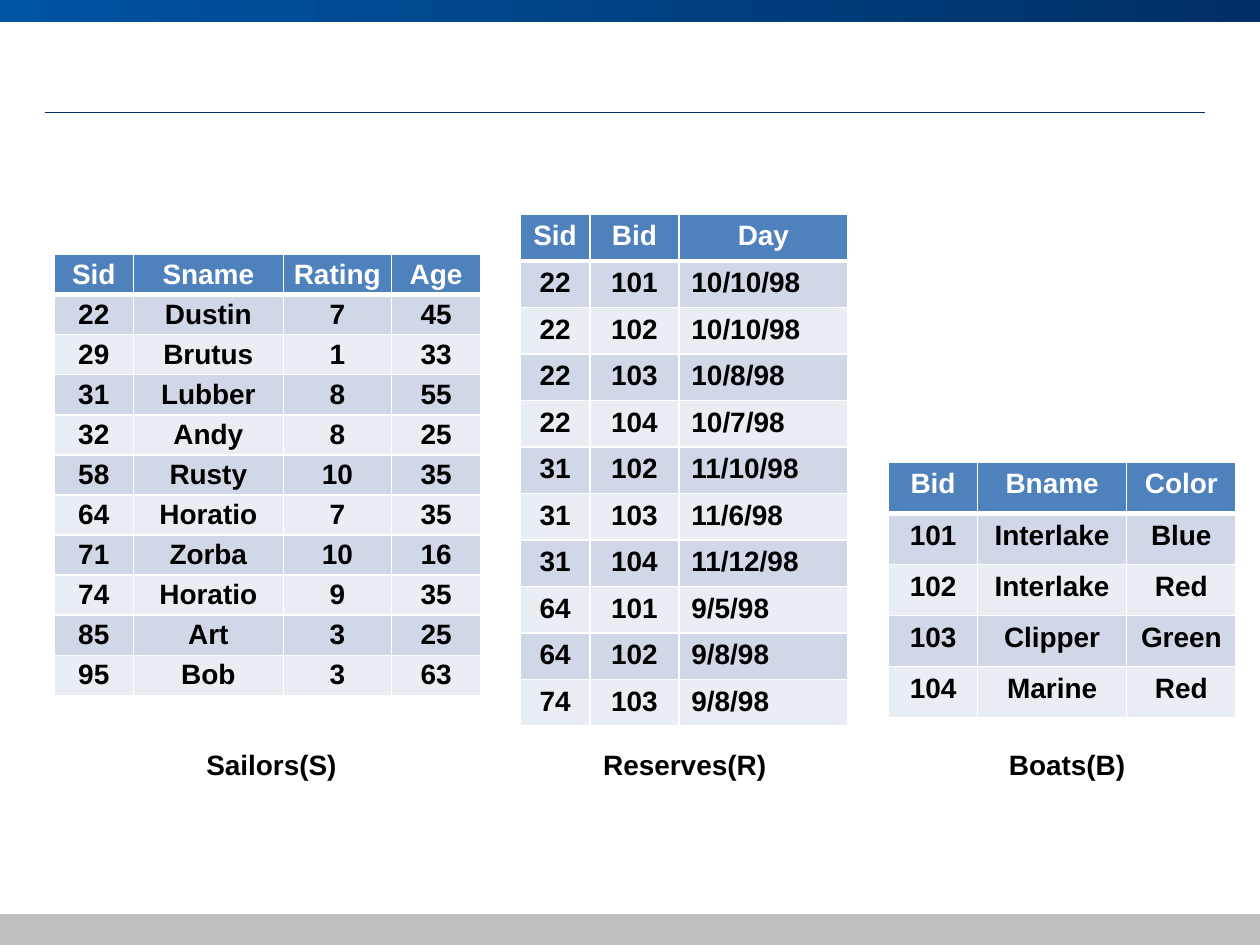
import pptx
import pptx.util
import pptx.oxml
import pptx.dml.color
import pptx.enum.shapes
import pptx.enum.text
from pptx.util import Cm, Pt

# Content
COLORS = {
    "header": "4F81BD", "odd": "D0D8E8", "even": "E9EDF4",
    "white": "FFFFFF", "black": "000000",
    "blue": "0054A4", "navy": "002F65", "gray": "BFBFBF",
}
FONT, SIZE = "Arial", 16

SAILORS = [
    ("Sid", "Sname", "Rating", "Age"),
    ("22", "Dustin", "7", "45"),
    ("29", "Brutus", "1", "33"),
    ("31", "Lubber", "8", "55"),
    ("32", "Andy", "8", "25"),
    ("58", "Rusty", "10", "35"),
    ("64", "Horatio", "7", "35"),
    ("71", "Zorba", "10", "16"),
    ("74", "Horatio", "9", "35"),
    ("85", "Art", "3", "25"),
    ("95", "Bob", "3", "63"),
]
RESERVES = [
    ("Sid", "Bid", "Day"),
    ("22", "101", "10/10/98"),
    ("22", "102", "10/10/98"),
    ("22", "103", "10/8/98"),
    ("22", "104", "10/7/98"),
    ("31", "102", "11/10/98"),
    ("31", "103", "11/6/98"),
    ("31", "104", "11/12/98"),
    ("64", "101", "9/5/98"),
    ("64", "102", "9/8/98"),
    ("74", "103", "9/8/98"),
]
BOATS = [
    ("Bid", "Bname", "Color"),
    ("101", "Interlake", "Blue"),
    ("102", "Interlake", "Red"),
    ("103", "Clipper", "Green"),
    ("104", "Marine", "Red"),
]

# Lengths in centimetres; margins are (side, top and bottom)
RELATIONS = [
    {"name": "Sailors(S)", "rows": SAILORS, "left": 1.09, "top": 5.13, "height": 9.32,
     "columns": (1.6, 3.02, 2.18, 1.8), "row": 0.67, "margins": (0.17, 0.09),
     "left_aligned": (), "caption": (3.91, 3.81)},
    {"name": "Reserves(R)", "rows": RESERVES, "left": 10.49, "top": 4.32, "height": 10.24,
     "columns": (1.4, 1.8, 3.4), "row": 0.79, "margins": (0.25, 0.13),
     "left_aligned": (2,), "caption": (11.91, 3.99)},
    {"name": "Boats(B)", "rows": BOATS, "left": 17.91, "top": 9.32, "height": 5.16,
     "columns": (1.8, 3, 2.21), "row": 1.03, "margins": (0.25, 0.13),
     "left_aligned": (), "caption": (20.09, 3.99)},
]
CAPTION_TOP, CAPTION_HEIGHT = 14.94, 0.94


def color(name):
    return pptx.dml.color.RGBColor.from_string(COLORS[name])


def add_text(paragraph, text, color_name):
    run = paragraph.add_run()
    run.text = text
    run.font.name, run.font.size, run.font.bold = FONT, Pt(SIZE), True
    run.font.color.rgb = color(color_name)


def add_bar(top, height):
    bar = slide.shapes.add_shape(pptx.enum.shapes.MSO_SHAPE.RECTANGLE,
                                 0, Cm(top), presentation.slide_width, Cm(height))
    bar.shadow.inherit = False
    bar.line.fill.background()
    return bar


def set_borders(cell, row_index):
    widths = {"L": 1, "R": 1, "T": 3 if row_index == 1 else 1, "B": 3 if row_index == 0 else 1}
    properties = cell._tc.get_or_add_tcPr()
    for side, width in widths.items():
        properties.append(pptx.oxml.parse_xml(
            f'<a:ln{side} xmlns:a="http://schemas.openxmlformats.org/drawingml/2006/main" '
            f'w="{Pt(width)}"><a:solidFill><a:srgbClr val="{COLORS["white"]}"/></a:solidFill>'
            f'</a:ln{side}>'))


def add_relation(relation):
    rows, columns = relation["rows"], relation["columns"]
    frame = slide.shapes.add_table(len(rows), len(columns), Cm(relation["left"]),
                                   Cm(relation["top"]), Cm(sum(columns)), Cm(relation["height"]))
    table = frame.table
    for column, width in zip(table.columns, columns):
        column.width = Cm(width)
    side, edge = map(Cm, relation["margins"])
    for row_index, values in enumerate(rows):
        table.rows[row_index].height = Cm(relation["row"])
        is_header = row_index == 0
        fill = "header" if is_header else "odd" if row_index % 2 else "even"
        for column_index, value in enumerate(values):
            cell = table.cell(row_index, column_index)
            cell.margin_left = cell.margin_right = side
            cell.margin_top = cell.margin_bottom = edge
            set_borders(cell, row_index)
            cell.fill.solid()
            cell.fill.fore_color.rgb = color(fill)
            paragraph = cell.text_frame.paragraphs[0]
            is_left = column_index in relation["left_aligned"] and not is_header
            alignment = pptx.enum.text.PP_ALIGN
            paragraph.alignment = alignment.LEFT if is_left else alignment.CENTER
            add_text(paragraph, value, "white" if is_header else "black")
    frame.height = Cm(relation["height"])


def add_caption(relation):
    left, width = relation["caption"]
    box = slide.shapes.add_textbox(Cm(left), Cm(CAPTION_TOP), Cm(width), Cm(CAPTION_HEIGHT))
    box.text_frame.word_wrap = True
    box.text_frame.auto_size = pptx.enum.text.MSO_AUTO_SIZE.SHAPE_TO_FIT_TEXT
    add_text(box.text_frame.paragraphs[0], relation["name"], "black")


presentation = pptx.Presentation()
presentation.slide_width, presentation.slide_height = Cm(25.4), Cm(19.05)
slide = presentation.slides.add_slide(presentation.slide_layouts[6])

# Top bar, rule and bottom bar
top_bar = add_bar(0, 0.44)
top_bar.fill.gradient()
top_bar.fill.gradient_angle = 0
for stop, name in zip(top_bar.fill.gradient_stops, ("blue", "navy")):
    stop.color.rgb = color(name)

rule = slide.shapes.add_connector(pptx.enum.shapes.MSO_CONNECTOR.STRAIGHT,
                                  Cm(0.9), Cm(2.26), Cm(24.3), Cm(2.26))
rule.line.color.rgb = color("navy")
rule.line.width = Pt(0.5)
rule._element.spPr.append(pptx.oxml.parse_xml(
    '<a:effectLst xmlns:a="http://schemas.openxmlformats.org/drawingml/2006/main"/>'))

bottom_bar = add_bar(18.43, 0.62)
bottom_bar.fill.solid()
bottom_bar.fill.fore_color.rgb = color("gray")

# Tables with their captions
for relation in RELATIONS:
    add_relation(relation)
    add_caption(relation)

presentation.save("out.pptx")
